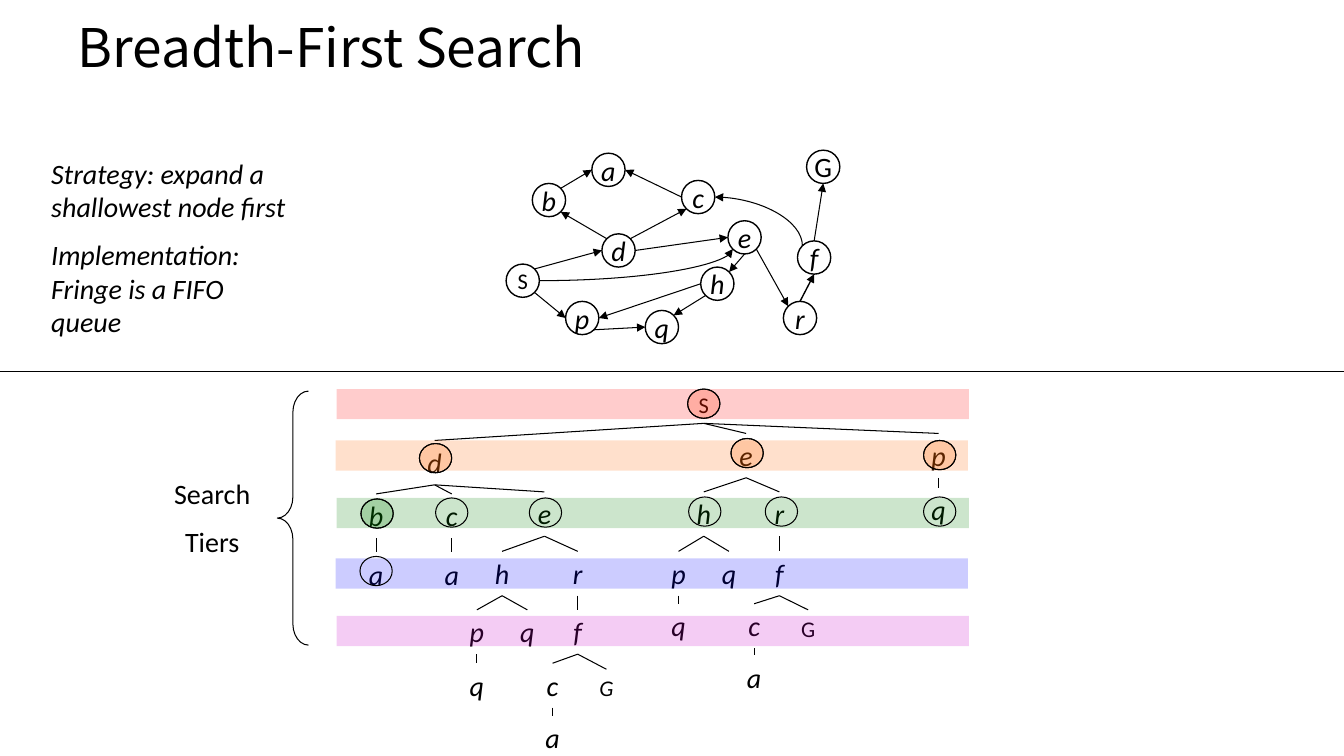
from math import sqrt

from lxml.etree import SubElement
from pptx import Presentation
from pptx.dml.color import RGBColor
from pptx.enum.shapes import MSO_CONNECTOR, MSO_SHAPE
from pptx.enum.text import MSO_ANCHOR, MSO_AUTO_SIZE, PP_ALIGN
from pptx.oxml.ns import qn
from pptx.util import Inches, Pt

BLACK = RGBColor(0x00, 0x00, 0x00)
SCARLET = RGBColor(0xFF, 0x33, 0x00)
RED = RGBColor(0xFF, 0x00, 0x00)
ORANGE = RGBColor(0xFF, 0x66, 0x00)
GREEN = RGBColor(0x00, 0x80, 0x00)
BLUE = RGBColor(0x00, 0x00, 0xFF)
PURPLE = RGBColor(0xCC, 0x00, 0xCC)

prs = Presentation()
prs.slide_width, prs.slide_height = Inches(13.33), Inches(7.5)
slide = prs.slides.add_slide(prs.slide_layouts[6])
shapes = slide.shapes


def write(frame, paragraphs, size, italic=False, align=PP_ALIGN.CENTER, font="Calibri"):
    for i, text in enumerate(paragraphs):
        paragraph = frame.add_paragraph() if i else frame.paragraphs[0]
        paragraph.alignment = align
        if i:
            paragraph.space_before = Pt(10)
        run = paragraph.add_run()
        run.text = text
        run.font.name, run.font.size, run.font.italic = font, Pt(size), italic
        run.font.color.rgb = BLACK


def draw_line(start, end, arrow=None, kind=MSO_CONNECTOR.STRAIGHT, width=0.75):
    line = shapes.add_connector(kind, *[Inches(v) for v in (*start, *end)])
    line.line.color.rgb = BLACK
    line.line.width = Pt(width)
    properties = line._element.spPr
    if arrow:
        SubElement(properties.find(qn("a:ln")), qn(arrow)).set("type", "triangle")
    if kind == MSO_CONNECTOR.CURVE:
        properties.find(qn("a:prstGeom")).set("prst", "curvedConnector2")
    SubElement(properties, qn("a:effectLst"))
    return line


# Title
title = shapes.add_textbox(Inches(0.67), Inches(0.02), Inches(12), Inches(0.87)).text_frame
title.word_wrap = True
title.vertical_anchor = MSO_ANCHOR.MIDDLE
write(title, ["Breadth-First Search"], 38, align=PP_ALIGN.LEFT, font="Noto Sans CJK KR")

# Search tree: key -> label, centre x, top, parent key
tree = {
    "S": ("S", 6.98, 3.83, None),
    "d": ("d", 4.31, 4.37, "S"),
    "e": ("e", 7.4, 4.3, "S"),
    "p": ("p", 9.31, 4.3, "S"),
    "db": ("b", 3.73, 4.9, "d"),
    "dc": ("c", 4.48, 4.9, "d"),
    "de": ("e", 5.4, 4.88, "d"),
    "eh": ("h", 6.98, 4.88, "e"),
    "er": ("r", 7.73, 4.88, "e"),
    "pq": ("q", 9.31, 4.84, "p"),
    "dba": ("a", 3.73, 5.48, "db"),
    "dca": ("a", 4.48, 5.48, "dc"),
}
# The node e has the same subtree in both places
for e, left, h_top, q_top, f_top, f_drop in (
    ("de", 4.73, 5.47, 6.05, 6.05, 0.53),
    ("e", 6.73, None, 5.47, 5.47, 0.52),
):
    if h_top:
        tree[e + "h"] = ("h", left + 0.25, h_top, e)
        tree[e + "r"] = ("r", left + 1, h_top, e)
    h, r = e + "h", e + "r"
    tree[h + "p"] = ("p", left, q_top, h)
    tree[h + "q"] = ("q", left + 0.5, q_top, h)
    tree[r + "f"] = ("f", left + 1, f_top, r)
    tree[h + "pq"] = ("q", left, f_top + f_drop, h + "p")
    tree[r + "fc"] = ("c", left + 0.75, f_top + f_drop, r + "f")
    tree[r + "fG"] = ("G", left + 1.285, f_top + f_drop + 0.06, r + "f")
    tree[r + "fca"] = ("a", left + 0.75, f_top + 2 * f_drop - 0.01, r + "fc")

tree_boxes = {}
for key, (label, center, top, parent) in tree.items():
    width, height, size = {"S": (1.08, 0.37, 16), "G": (0.83, 0.37, 16)}.get(label, (0.42, 0.44, 20))
    box = shapes.add_textbox(Inches(center - width / 2), Inches(top), Inches(width), Inches(height))
    box.text_frame.word_wrap = True
    box.text_frame.auto_size = MSO_AUTO_SIZE.SHAPE_TO_FIT_TEXT
    write(box.text_frame, [label], size, italic=label.islower() or key == "derfG")
    tree_boxes[key] = box
    if parent:
        branch = draw_line((0, 0), (1, 1))
        branch.begin_connect(tree_boxes[parent], 2)
        branch.end_connect(box, 0)

# State graph: left and top of each node
NODE = 0.33
graph = {
    "S": (5.02, 2.62), "G": (8, 1.49), "d": (5.97, 2.32), "b": (5.28, 1.82),
    "p": (5.61, 2.99), "q": (6.4, 3.08), "c": (6.76, 1.79), "e": (7.22, 2.19),
    "h": (6.95, 2.65), "a": (5.87, 1.52), "f": (7.91, 2.39), "r": (7.77, 2.99),
}
rim = {}
diagonal = 1 / sqrt(2)
for label, (left, top) in graph.items():
    node = shapes.add_shape(MSO_SHAPE.FLOWCHART_CONNECTOR, Inches(left), Inches(top), Inches(NODE), Inches(NODE))
    node.shadow.inherit = False
    node.fill.background()
    node.line.color.rgb = BLACK
    node.line.width = Pt(1)
    node.text_frame.word_wrap = False
    node.text_frame.vertical_anchor = MSO_ANCHOR.MIDDLE
    write(node.text_frame, [label], 16 if label == "S" else 20, italic=label.islower())
    # Eight points on the rim, by compass direction
    for side, dx, dy in (("N", 0, -1), ("S", 0, 1), ("W", -1, 0), ("E", 1, 0),
                         ("NW", -diagonal, -diagonal), ("NE", diagonal, -diagonal),
                         ("SW", -diagonal, diagonal), ("SE", diagonal, diagonal)):
        rim[label, side] = (left + NODE / 2 * (1 + dx), top + NODE / 2 * (1 + dy))

for edge in ("S SE p W", "p SE q W", "h SW q NE", "h W p E", "e S h NE", "e SE r NW", "r N f S",
             "f N G S", "S NE d W", "d NW b SE", "b NE a W", "c W a E", "d NE c SW", "d E e W"):
    source, source_side, target, target_side = edge.split()
    draw_line(rim[source, source_side], rim[target, target_side], "a:tailEnd",
              width=1 if source == "r" else 0.75)
draw_line(rim["c", "E"], rim["f", "NW"], "a:headEnd", MSO_CONNECTOR.CURVE)
draw_line(rim["S", "E"], rim["e", "SW"], "a:tailEnd", MSO_CONNECTOR.CURVE)

# Tier bands, then rings round reached nodes and tints on visited ones
bands = [(MSO_SHAPE.RECTANGLE, left, top, 6.27, 0.3, color) for left, top, color in (
    (3.34, 3.86, RED), (3.33, 4.37, ORANGE), (3.34, 4.94, GREEN), (3.33, 5.54, BLUE), (3.34, 6.11, PURPLE))]
rings = [(MSO_SHAPE.OVAL, left, top, 0.32, 0.29, None) for left, top in (
    (6.82, 3.86), (4.16, 4.4), (7.25, 4.35), (9.16, 4.37), (3.58, 4.95), (4.32, 4.94),
    (5.25, 4.94), (6.83, 4.93), (7.59, 4.93), (9.16, 4.93), (3.57, 5.52))]
visited = [ring[:5] + (color,) for ring, color in zip(rings, (SCARLET, ORANGE, ORANGE, ORANGE, GREEN))]
for preset, left, top, width, height, color in bands + rings + visited:
    mark = shapes.add_shape(preset, Inches(left), Inches(top), Inches(width), Inches(height))
    mark.shadow.inherit = False
    if color:
        mark.fill.solid()
        mark.fill.fore_color.rgb = color
        tint = mark._element.spPr.find(qn("a:solidFill"))[0]
        SubElement(tint, qn("a:alpha")).set("val", "20000")
    else:
        mark.fill.background()
    if preset == MSO_SHAPE.OVAL:
        mark.line.color.rgb = BLACK
        mark.line.width = Pt(0.75)
    else:
        mark.line.fill.background()

# Brace and its label
brace = shapes.add_shape(MSO_SHAPE.LEFT_BRACE, Inches(2.75), Inches(3.88), Inches(0.31), Inches(2.52))
brace.shadow.inherit = False
brace.adjustments[0] = 0.679
brace.fill.background()
brace.line.color.rgb = BLACK
brace.line.width = Pt(0.75)
tiers_label = shapes.add_textbox(Inches(1.58), Inches(4.68), Inches(1.05), Inches(0.94)).text_frame
tiers_label.word_wrap = True
write(tiers_label, ["Search", "Tiers"], 20)

# Divider and strategy
draw_line((0, 3.69), (13.33, 3.69))
strategy = shapes.add_textbox(Inches(0.41), Inches(1.5), Inches(2.59), Inches(1.62)).text_frame
strategy.word_wrap = True
write(strategy, ["Strategy: expand a shallowest node first", "Implementation: Fringe is a FIFO queue"],
      20, italic=True, align=PP_ALIGN.LEFT)

prs.save("out.pptx")
